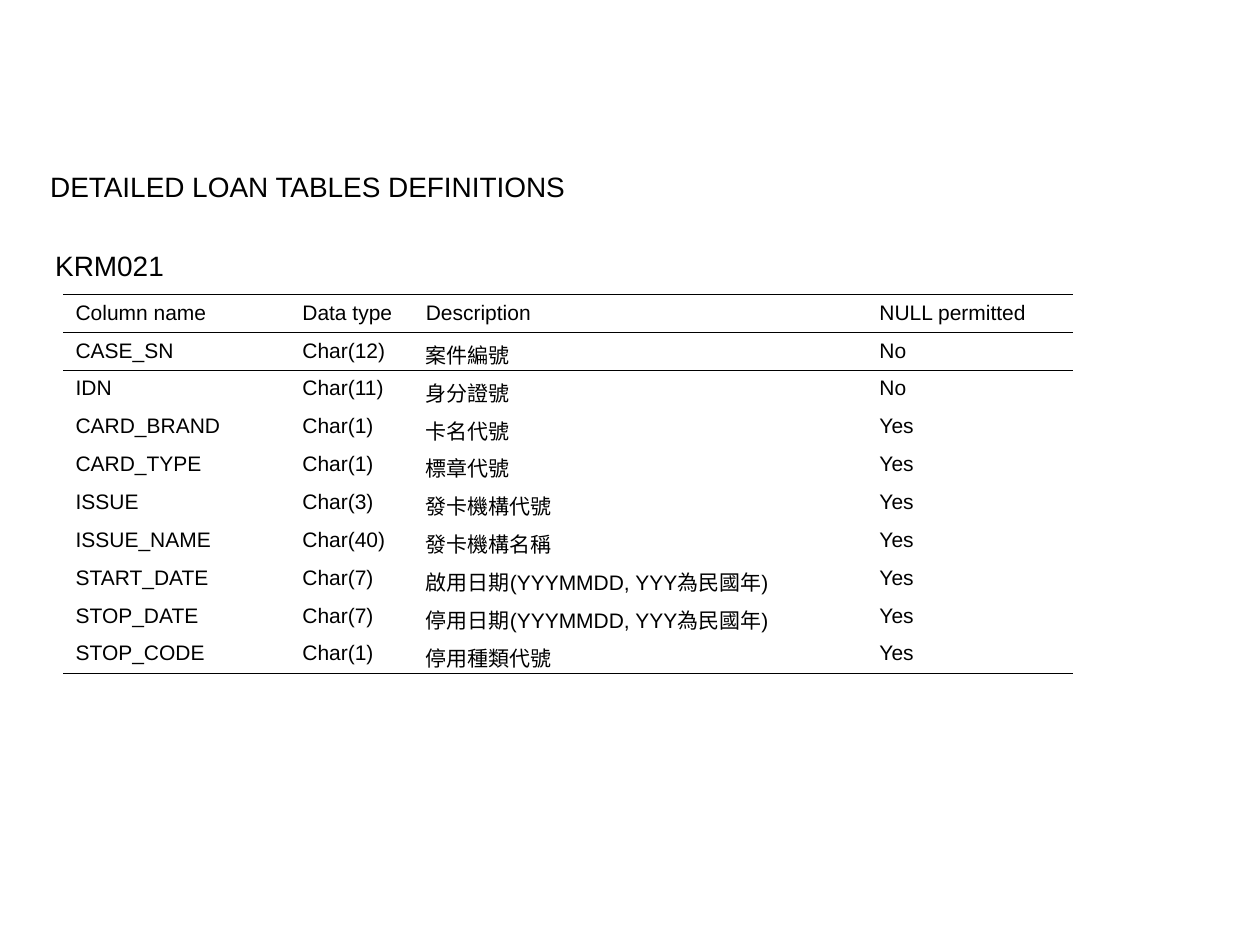
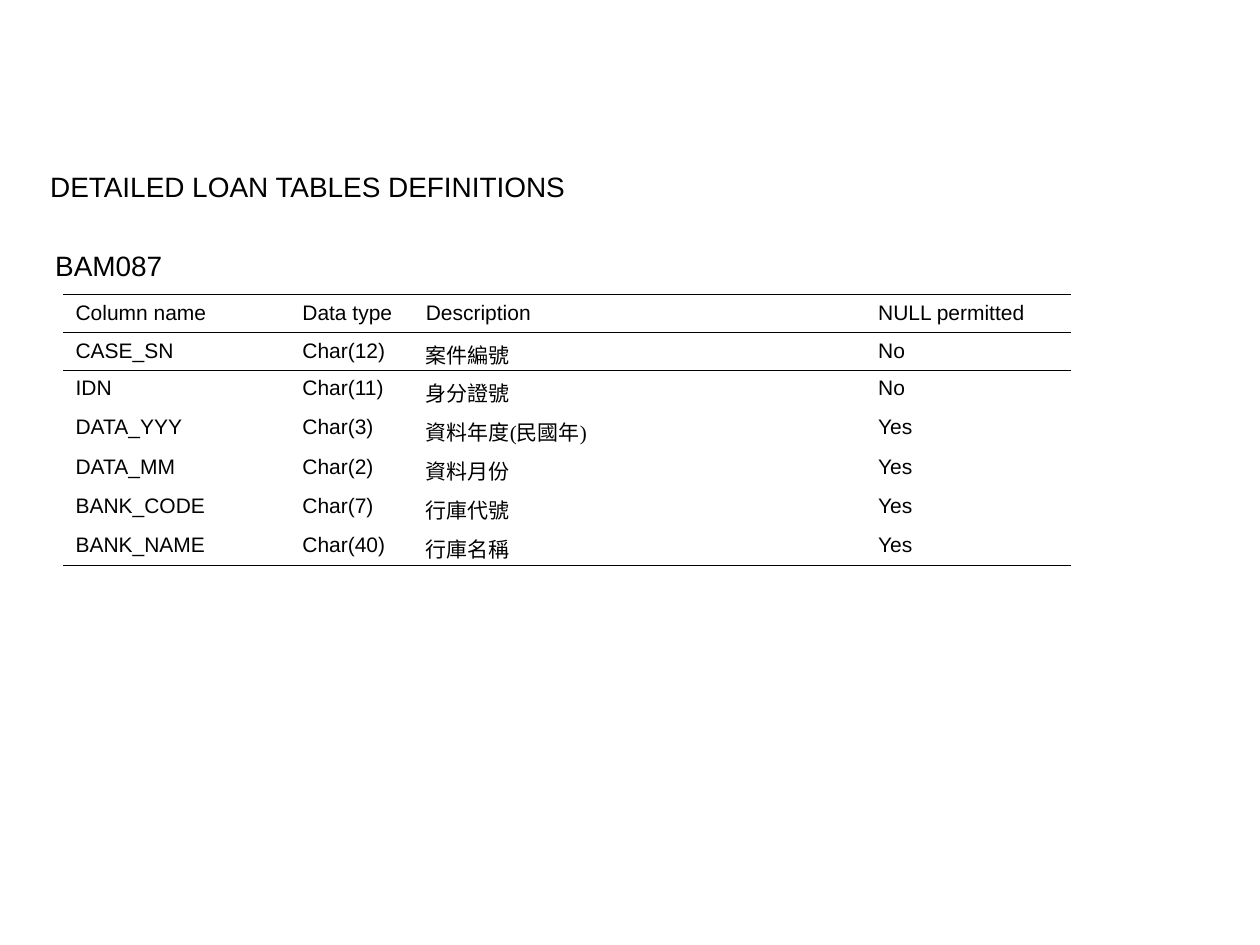
import pptx
import pptx.dml.color
import pptx.enum.text
import pptx.oxml
import pptx.oxml.ns
import pptx.util

Inches = pptx.util.Inches
Pt = pptx.util.Pt
BLACK = pptx.dml.color.RGBColor(0x00, 0x00, 0x00)
FONT = "Arial"
PAREN_FONT = "Times New Roman"
PLAIN_STYLE = "{2D5ABB26-0587-4C30-8999-92F81FD0307C}"
OUTER_RULE, HEADER_RULE = 0.75, 0.45
HEADER = ("Column name", "Data type", "Description", "NULL permitted")

KRM021 = [
    ("CASE_SN", "Char(12)", "案件編號", "No"),
    ("IDN", "Char(11)", "身分證號", "No"),
    ("CARD_BRAND", "Char(1)", "卡名代號", "Yes"),
    ("CARD_TYPE", "Char(1)", "標章代號", "Yes"),
    ("ISSUE", "Char(3)", "發卡機構代號", "Yes"),
    ("ISSUE_NAME", "Char(40)", "發卡機構名稱", "Yes"),
    ("START_DATE", "Char(7)", "啟用日期(YYYMMDD, YYY為民國年)", "Yes"),
    ("STOP_DATE", "Char(7)", "停用日期(YYYMMDD, YYY為民國年)", "Yes"),
    ("STOP_CODE", "Char(1)", "停用種類代號", "Yes"),
]
BAM087 = [
    ("CASE_SN", "Char(12)", "案件編號", "No"),
    ("IDN", "Char(11)", "身分證號", "No"),
    ("DATA_YYY", "Char(3)", ("資料年度", "(", "民國年", ")"), "Yes"),
    ("DATA_MM", "Char(2)", "資料月份", "Yes"),
    ("BANK_CODE", "Char(7)", "行庫代號", "Yes"),
    ("BANK_NAME", "Char(40)", "行庫名稱", "Yes"),
]


class Deck:
    """Holds the shared style and the current slide."""

    def __init__(self):
        self.prs = pptx.Presentation()
        self.prs.slide_width, self.prs.slide_height = Inches(10), Inches(7.5)

    def add_slide(self):
        self.s = self.prs.slides.add_slide(self.prs.slide_layouts[6])

    def style(self, p, size):
        p.font.name, p.font.size = FONT, Pt(size)
        p.font.color.rgb = BLACK

    def text(self, text, left, top, width, wrap):
        sp = self.s.shapes.add_textbox(Inches(left), Inches(top), Inches(width), Inches(0.37))
        tf = sp.text_frame
        tf.word_wrap = wrap
        tf.auto_size = pptx.enum.text.MSO_AUTO_SIZE.SHAPE_TO_FIT_TEXT
        tf.text = text
        self.style(tf.paragraphs[0], 16)

    def border(self, cell, side, width):
        ln = pptx.oxml.parse_xml(
            f'<a:ln{side} {pptx.oxml.ns.nsdecls("a")} w="{Pt(width)}">'
            f'<a:solidFill><a:srgbClr val="{BLACK}"/></a:solidFill></a:ln{side}>')
        cell._tc.get_or_add_tcPr().append(ln)

    def cell(self, cell, content):
        cell.margin_left = cell.margin_right = Inches(0.1)
        cell.margin_top = cell.margin_bottom = Inches(0.05)
        cell.fill.background()
        p = cell.text_frame.paragraphs[0]
        for part in (content,) if isinstance(content, str) else content:
            r = p.add_run()
            r.text = part
            if part in ("(", ")"):
                r.font.name = PAREN_FONT
        self.style(p, 12)

    def table(self, rows, col_widths, row_heights):
        rows = [HEADER] + rows
        frame = self.s.shapes.add_table(
            len(rows), len(HEADER), Inches(0.5), Inches(2.34),
            Inches(sum(col_widths)), Inches(sum(row_heights)))
        table = frame.table
        table.first_row = table.horz_banding = False
        table._tbl.tblPr.find(pptx.oxml.ns.qn("a:tableStyleId")).text = PLAIN_STYLE
        for column, width in zip(table.columns, col_widths):
            column.width = Inches(width)
        for row, height in zip(table.rows, row_heights):
            row.height = Inches(height)
        rules = {0: (("T", OUTER_RULE), ("B", HEADER_RULE)),
                 1: (("T", HEADER_RULE),),
                 len(rows) - 1: (("B", OUTER_RULE),)}
        for i, row in enumerate(rows):
            for j, content in enumerate(row):
                cell = table.cell(i, j)
                for side, width in rules.get(i, ()):
                    self.border(cell, side, width)
                self.cell(cell, content)

    def definition(self, name, rows, col_widths, row_heights):
        self.add_slide()
        self.text("DETAILED LOAN TABLES DEFINITIONS", 0.3, 1.3, 9.29, True)
        self.text(name, 0.34, 1.92, 1.06, False)
        self.table(rows, col_widths, row_heights)


def main():
    deck = Deck()
    deck.definition("KRM021", KRM021, (1.8, 0.98, 3.6, 1.64), [0.3] * 10)
    deck.definition("BAM087", BAM087, (1.8, 0.98, 3.59, 1.63), [0.3] * 2 + [0.31] * 5)
    deck.prs.save("out.pptx")


if __name__ == "__main__":
    main()
